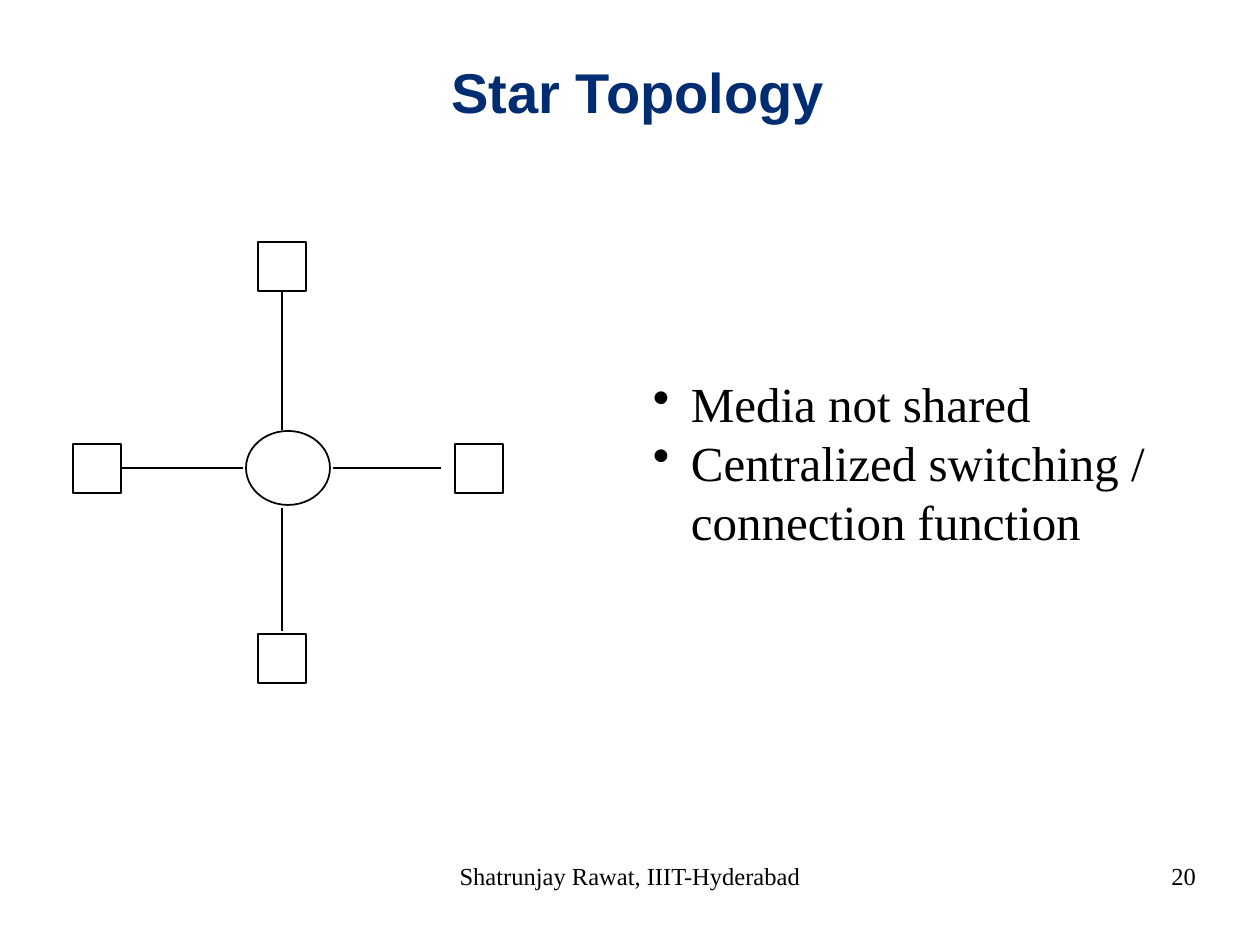
"""Build the star topology slide."""
from lxml.etree import SubElement
from pptx import Presentation
from pptx.dml.color import RGBColor
from pptx.enum.shapes import MSO_CONNECTOR, MSO_SHAPE
from pptx.enum.text import MSO_ANCHOR, PP_ALIGN
from pptx.oxml.ns import qn
from pptx.util import Emu, Pt

PIXEL = 914400 // 126
BLACK = RGBColor(0x00, 0x00, 0x00)
NAVY = RGBColor(0x00, 0x2C, 0x72)
NODE_WIDTH, NODE_HEIGHT = 48, 49
BULLET_INDENT = 38

TITLE_FONT = {"name": "Arial", "size": Pt(32), "bold": True}
BODY_FONT = {"name": "Times New Roman", "size": Pt(28)}
FOOTER_FONT = {"name": "Times New Roman", "size": Pt(14)}

HUB = (246, 431, 84, 74)
NODE_CENTERS = [(282, 266), (282, 658), (97, 468), (479, 468)]
LINKS = [
    (282, 292, 282, 430),
    (282, 508, 282, 631),
    (122, 468, 243, 468),
    (333, 468, 441, 468),
]


def scale(*lengths):
    return [Emu(length * PIXEL) for length in lengths]


def set_attributes(target, values):
    for name, value in values.items():
        setattr(target, name, value)


def format_line(line):
    line.color.rgb = BLACK
    line.width = Pt(1)


def add_outline(group, kind, box):
    shape = group.shapes.add_shape(kind, *scale(*box))
    shape.shadow.inherit = False
    shape.fill.background()
    format_line(shape.line)


def add_node(group, center_x, center_y):
    left = center_x - NODE_WIDTH // 2
    top = center_y - NODE_HEIGHT // 2
    add_outline(group, MSO_SHAPE.RECTANGLE, (left, top, NODE_WIDTH, NODE_HEIGHT))


def add_link(group, ends):
    connector = group.shapes.add_connector(MSO_CONNECTOR.STRAIGHT, *scale(*ends))
    format_line(connector.line)
    SubElement(connector._element.spPr, qn("a:effectLst"))


def add_bullet(paragraph):
    properties = paragraph._p.get_or_add_pPr()
    indent = BULLET_INDENT * PIXEL
    properties.set("marL", str(indent))
    properties.set("indent", str(-indent))
    SubElement(properties, qn("a:buChar"), char="•")


def add_text(slide, box, lines, font, color=BLACK, align=PP_ALIGN.LEFT,
             anchor=MSO_ANCHOR.TOP, margins=(0, 0), bulleted=False):
    frame = slide.shapes.add_textbox(*scale(*box)).text_frame
    horizontal, vertical = scale(*margins)
    set_attributes(frame, {
        "word_wrap": True,
        "vertical_anchor": anchor,
        "margin_left": horizontal,
        "margin_right": horizontal,
        "margin_top": vertical,
        "margin_bottom": vertical,
    })
    frame.text = "\n".join(lines)
    for paragraph in frame.paragraphs:
        paragraph.alignment = align
        for run in paragraph.runs:
            set_attributes(run.font, font)
            run.font.color.rgb = color
        if bulleted:
            add_bullet(paragraph)


def add_star(slide):
    group = slide.shapes.add_group_shape()
    add_outline(group, MSO_SHAPE.OVAL, HUB)
    for center in NODE_CENTERS:
        add_node(group, *center)
    for ends in LINKS:
        add_link(group, ends)


def main():
    presentation = Presentation()
    presentation.slide_width, presentation.slide_height = scale(1260, 945)
    slide = presentation.slides.add_slide(presentation.slide_layouts[6])
    add_text(slide, (139, 49, 998, 84), ["Star Topology"], TITLE_FONT, NAVY,
             PP_ALIGN.CENTER, MSO_ANCHOR.MIDDLE, (13, 6))
    add_star(slide)
    add_text(slide, (640, 368, 577, 189),
             ["Media not shared", "Centralized switching / connection function"],
             BODY_FONT, margins=(13, 6), bulleted=True)
    add_text(slide, (431, 861, 398, 64), ["Shatrunjay Rawat, IIIT-Hyderabad"],
             FOOTER_FONT, align=PP_ALIGN.CENTER)
    add_text(slide, (903, 861, 293, 64), ["20"], FOOTER_FONT, align=PP_ALIGN.RIGHT)
    presentation.save("out.pptx")


if __name__ == "__main__":
    main()
